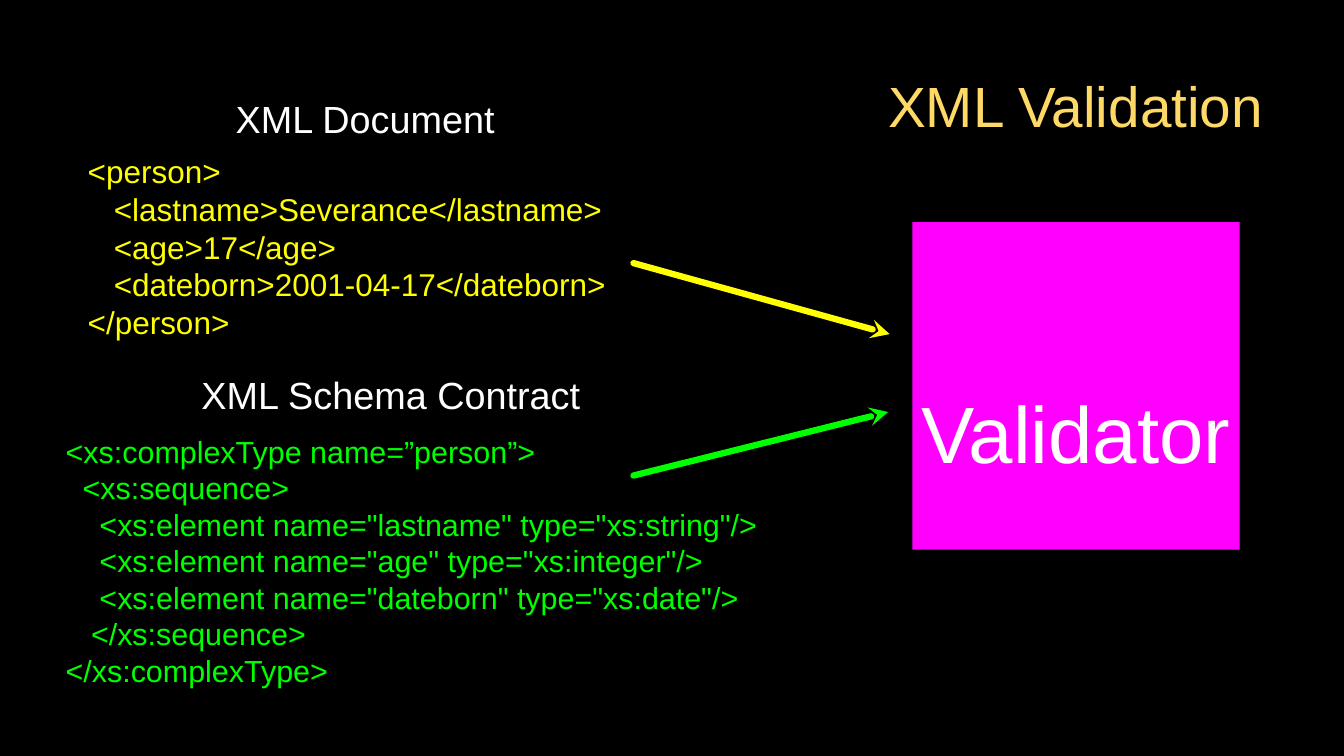
from lxml.etree import SubElement
from pptx import Presentation
from pptx.dml.color import RGBColor
from pptx.enum.shapes import MSO_CONNECTOR, MSO_SHAPE
from pptx.enum.text import MSO_ANCHOR, MSO_AUTO_SIZE, PP_ALIGN
from pptx.oxml.ns import qn
from pptx.util import Pt

HUES = {
    "black": "000000",
    "white": "FFFFFF",
    "gold": "FFD966",
    "pink": "FF00FF",
    "yellow": "FFFF00",
    "green": "00FF00",
}
FONT = "Arial"
SIZE = (1280.16, 720)

TITLE = ("XML Validation", (832.3, 59.8, 384.5, 79.2), 54, "gold")
BLOCK = ("Validator", (869, 211.7, 311.8, 311.8), 76, "white")
DROP = 87.4

HEADS = [
    ("XML Document", (189.4, 87.8, 316.8, 49), 36, "white"),
    ("XML Schema Contract", (189.4, 351.4, 365.8, 49), 36, "white"),
]

PERSON = """<person>
   <lastname>Severance</lastname>
   <age>17</age>
   <dateborn>2001-04-17</dateborn>
</person>"""

SCHEMA = """<xs:complexType name=”person”>
  <xs:sequence>
    <xs:element name="lastname" type="xs:string"/>
    <xs:element name="age" type="xs:integer"/>
    <xs:element name="dateborn" type="xs:date"/>
   </xs:sequence>
</xs:complexType>"""

CODES = [
    (PERSON, (83.5, 143.3, 498.2, 182.9), 30, "yellow"),
    (SCHEMA, (62.6, 405.4, 698.4, 257), 29, "green"),
]

ARROWS = [
    ((847.4, 318.2), (603.4, 250.6), "yellow"),
    ((846, 392.4), (603.4, 452.9), "green"),
]


def color(name):
    return RGBColor.from_string(HUES[name])


def points(vals):
    return [Pt(val) for val in vals]


def write(shape, text, size, hue, align=PP_ALIGN.CENTER, top=0):
    frame = shape.text_frame
    frame.text = text
    frame.word_wrap = True
    frame.auto_size = MSO_AUTO_SIZE.NONE
    frame.vertical_anchor = MSO_ANCHOR.MIDDLE
    frame.margin_left = frame.margin_right = frame.margin_bottom = 0
    frame.margin_top = Pt(top)
    for para in frame.paragraphs:
        para.alignment = align
        para.line_spacing = 1
        para.space_before = Pt(0)
        for run in para.runs:
            run.font.name = FONT
            run.font.size = Pt(size)
            run.font.color.rgb = color(hue)


def add_title(slide):
    text, box, size, hue = TITLE
    title = slide.shapes.title
    title.left, title.top, title.width, title.height = points(box)
    write(title, text, size, hue)


def add_block(slide):
    text, box, size, hue = BLOCK
    block = slide.shapes.add_shape(MSO_SHAPE.RECTANGLE, *points(box))
    block.shadow.inherit = False
    block.fill.solid()
    block.fill.fore_color.rgb = color("pink")
    block.line.fill.background()
    write(block, text, size, hue, top=DROP)


def add_texts(slide, items, align):
    for text, box, size, hue in items:
        label = slide.shapes.add_textbox(*points(box))
        write(label, text, size, hue, align)


def add_arrow(slide, tip, base, hue):
    arrow = slide.shapes.add_connector(MSO_CONNECTOR.STRAIGHT, *points(tip + base))
    arrow.line.color.rgb = color(hue)
    arrow.line.width = Pt(6)
    props = arrow.element.spPr
    line = props.find(qn("a:ln"))
    line.set("cap", "rnd")
    SubElement(line, qn("a:round"))
    SubElement(line, qn("a:headEnd"), type="stealth")
    SubElement(props, qn("a:effectLst"))


def main():
    deck = Presentation()
    deck.slide_width, deck.slide_height = points(SIZE)
    slide = deck.slides.add_slide(deck.slide_layouts[5])
    slide.background.fill.solid()
    slide.background.fill.fore_color.rgb = color("black")
    add_title(slide)
    add_block(slide)
    add_texts(slide, CODES, PP_ALIGN.LEFT)
    add_texts(slide, HEADS, PP_ALIGN.CENTER)
    for tip, base, hue in ARROWS:
        add_arrow(slide, tip, base, hue)
    deck.save("out.pptx")


if __name__ == "__main__":
    main()
